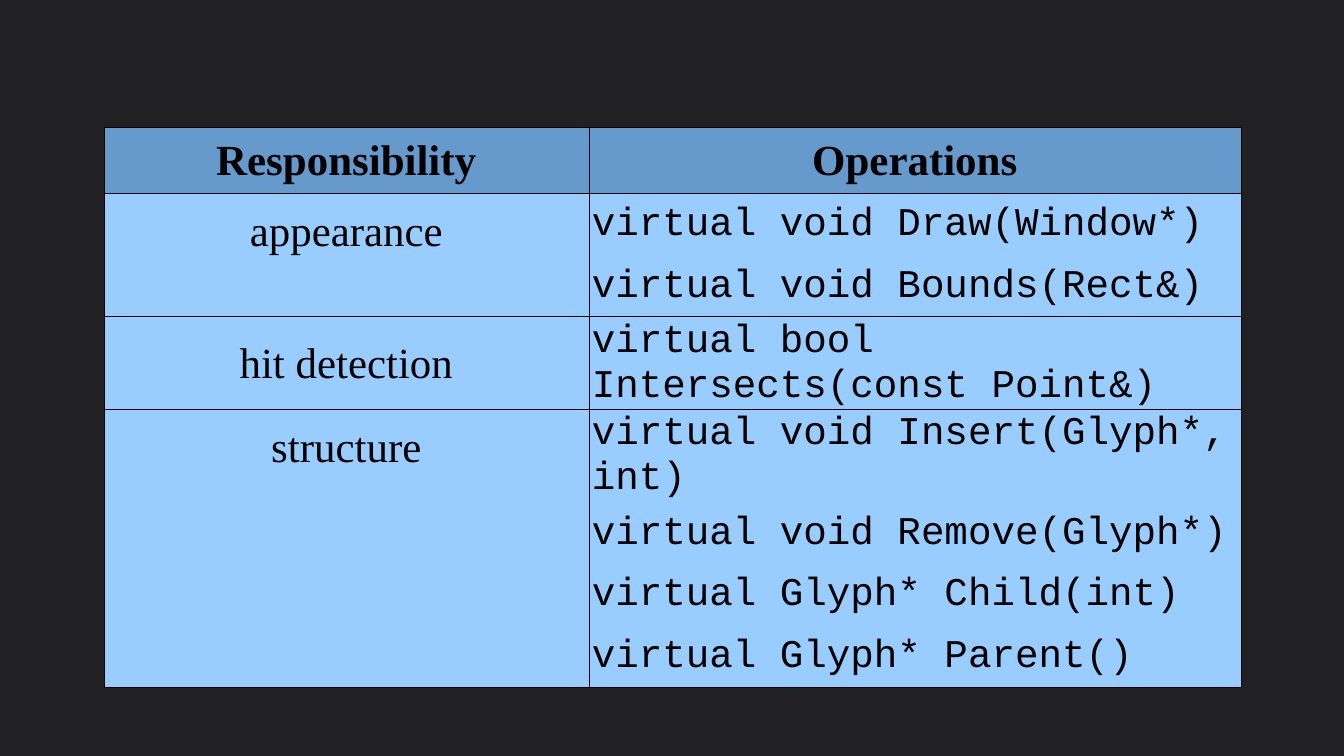
from lxml import etree
from pptx import Presentation
from pptx.dml.color import RGBColor
from pptx.enum.shapes import MSO_SHAPE
from pptx.enum.text import MSO_ANCHOR, PP_ALIGN
from pptx.oxml.ns import qn
from pptx.util import Emu, Pt

RECTANGLE = MSO_SHAPE.RECTANGLE
TOP, MIDDLE = MSO_ANCHOR.TOP, MSO_ANCHOR.MIDDLE
LEFT, CENTER = PP_ALIGN.LEFT, PP_ALIGN.CENTER

EMU_PER_PX = 914400 / 134.4
PAGE_BOX = (0, 0, 1344, 756)
TABLE_BOX = (104, 127, 1137, 503)
COLUMN_WIDTHS = (485, 652)
TALL_ROW, ROW = 66, 62
BLACK, CHARCOAL = "000000", "212123"
HEADER_FILL, BODY_FILL = "6699CC", "99CCFF"
SERIF, MONO = ("Times New Roman", 23), ("Courier New", 21)
TIGHT_INSETS, WIDE_INSETS = (3, 3, 3, 0), (28, 15, 28, 15)

HEADINGS = ("Responsibility", "Operations")
GROUPS = (
    ("appearance", ("virtual void Draw(Window*)", "virtual void Bounds(Rect&)")),
    ("hit detection", ("virtual bool Intersects(const Point&)",)),
    ("structure", (
        "virtual void Insert(Glyph*, int)",
        "virtual void Remove(Glyph*)",
        "virtual Glyph* Child(int)",
        "virtual Glyph* Parent()",
    )),
)


def px(length):
    return Emu(round(length * EMU_PER_PX))


def paint(fill, color):
    fill.solid()
    fill.fore_color.rgb = RGBColor.from_string(color)


def add_borders(cell, edges):
    properties = cell._tc.get_or_add_tcPr()
    for edge in "LRTB":
        line = etree.SubElement(properties, qn(f"a:ln{edge}"), w=str(Pt(0.5)))
        if edge in edges:
            solid = etree.SubElement(line, qn("a:solidFill"))
            etree.SubElement(solid, qn("a:srgbClr"), val=BLACK)
        else:
            etree.SubElement(line, qn("a:noFill"))


def style_cell(cell, color, edges="LRTB", insets=TIGHT_INSETS, anchor=MIDDLE):
    add_borders(cell, edges)
    paint(cell.fill, color)
    cell.margin_left, cell.margin_top, cell.margin_right, cell.margin_bottom = map(px, insets)
    cell.vertical_anchor = anchor


def write(cell, text, font, align, bold=False):
    para = cell.text_frame.paragraphs[0]
    para.alignment = align
    span = para.add_run()
    span.text = text
    span.font.name, size = font
    span.font.size = Pt(size)
    span.font.bold = bold
    paint(span.font.fill, BLACK)


def add_backdrop(page, box):
    backdrop = page.shapes.add_shape(RECTANGLE, *map(px, box))
    backdrop.shadow.inherit = False
    paint(backdrop.fill, CHARCOAL)
    backdrop.line.fill.background()


def fill_group(table, first, name, operations):
    last = first + len(operations) - 1
    merged = last > first
    for row, operation in enumerate(operations, first):
        edges = "LR" + "T" * (row == first) + "B" * (row == last)
        insets, anchor = (WIDE_INSETS, TOP) if merged else (TIGHT_INSETS, MIDDLE)
        style_cell(table.cell(row, 0), BODY_FILL, "LRTB" if row == first else edges, insets, anchor)
        style_cell(table.cell(row, 1), BODY_FILL, edges)
        write(table.cell(row, 1), operation, MONO, LEFT)
    if merged:
        table.cell(first, 0).merge(table.cell(last, 0))
    write(table.cell(first, 0), name, SERIF, CENTER)


def add_operations_table(page, box):
    row_count = 1 + sum(len(operations) for _, operations in GROUPS)
    frame = page.shapes.add_table(row_count, len(HEADINGS), *map(px, box))
    table = frame.table
    table.horz_banding = False
    table.first_row = False
    for column, width in zip(table.columns, COLUMN_WIDTHS):
        column.width = px(width)
    for row in table.rows:
        row.height = px(ROW)
    table.rows[0].height = px(TALL_ROW)
    for column, heading in enumerate(HEADINGS):
        cell = table.cell(0, column)
        style_cell(cell, HEADER_FILL)
        write(cell, heading, SERIF, CENTER, bold=True)
    first = 1
    for name, operations in GROUPS:
        if len(operations) == 1:
            table.rows[first].height = px(TALL_ROW)
        fill_group(table, first, name, operations)
        first += len(operations)


def main():
    deck = Presentation()
    deck.slide_width, deck.slide_height = map(px, PAGE_BOX[2:])
    page = deck.slides.add_slide(deck.slide_layouts[6])
    paint(page.background.fill, BLACK)
    add_backdrop(page, PAGE_BOX)
    add_operations_table(page, TABLE_BOX)
    deck.save("out.pptx")


if __name__ == "__main__":
    main()
